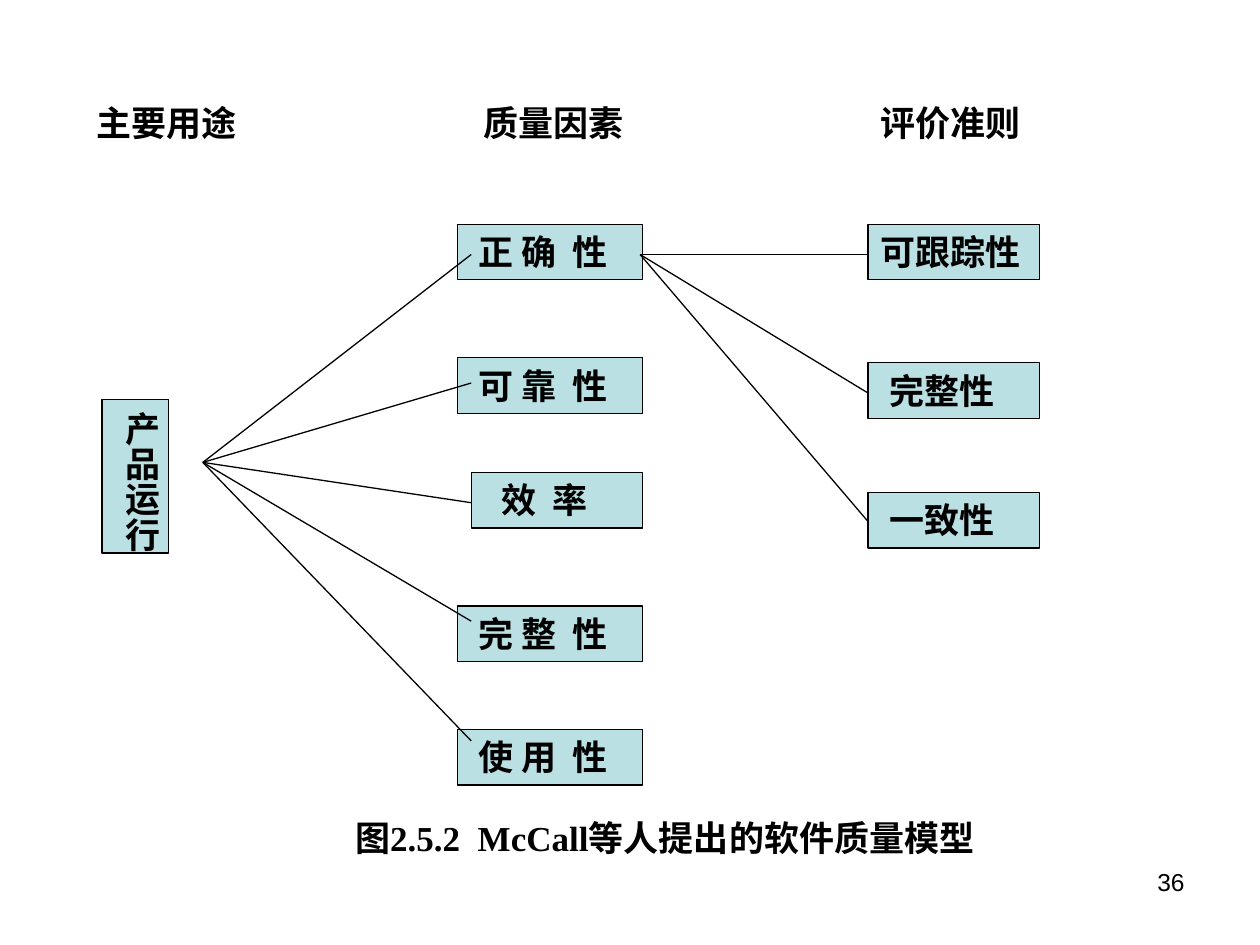
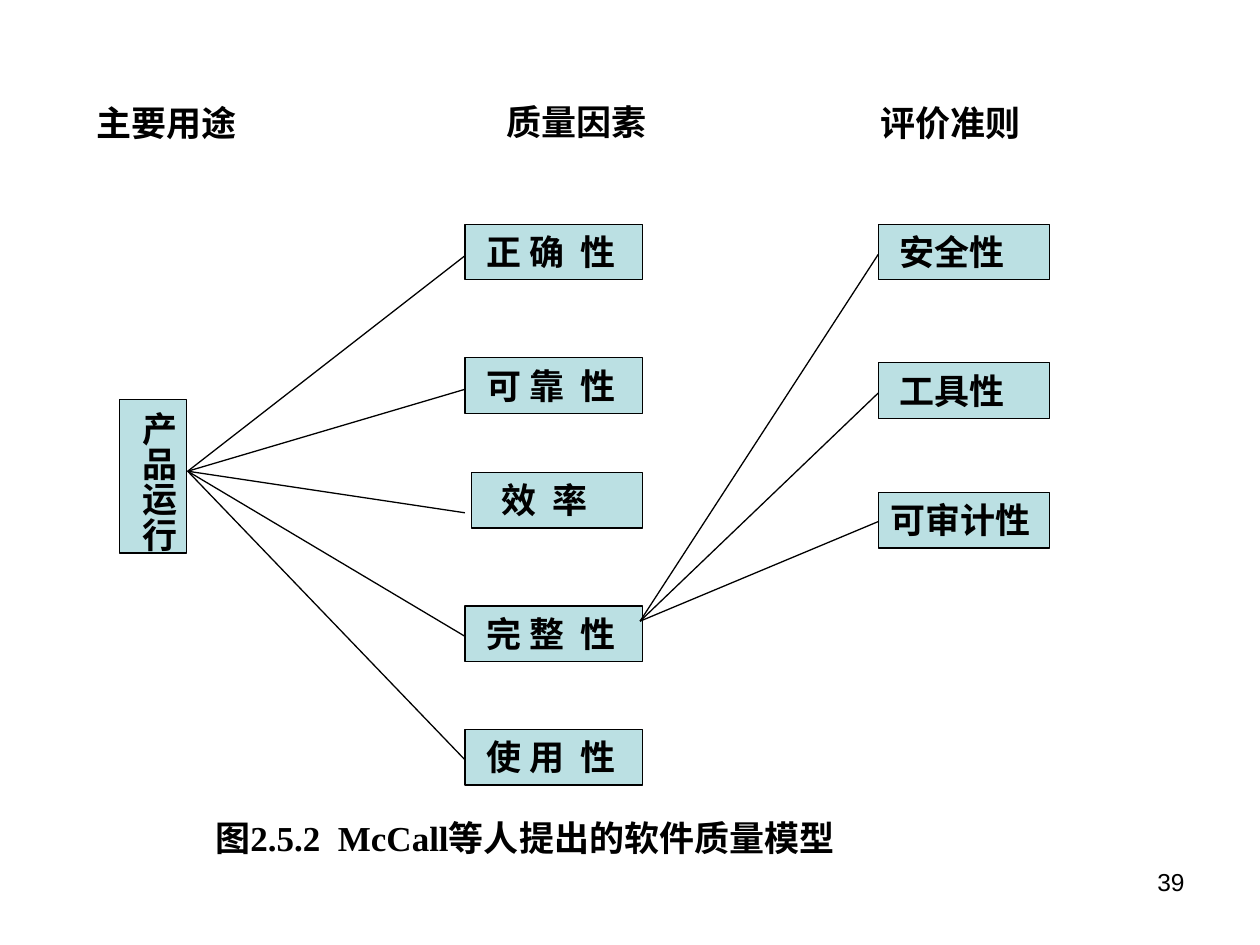
"""Build two slides of McCall's software quality model as tree diagrams."""
from lxml import etree
from pptx import Presentation
from pptx import util as u
from pptx.dml.color import RGBColor
from pptx.enum import shapes, text
from pptx.oxml import ns

PX = 9144
BLACK = RGBColor(0x00, 0x00, 0x00)
PALE_TEAL = RGBColor(0xBB, 0xE0, 0xE3)
ROW = 44
FACTOR_RIGHT = 510
SPACE = 7
FACTORS = [("正 确  性", 178), ("可 靠  性", 284), ("效  率", 375),
           ("完 整  性", 481), ("使 用  性", 579)]
CRITERION_TOPS = [178, 288, 391]
CRITERION_ENDS = [202, 312, 414]

MODELS = [
    {"number": "36", "headings": [(67, 76, 166), (374, 76, 193), (689, 76, 153)],
     "use_left": 81, "factor_left": 363, "criterion_left": 689,
     "criteria": [("可跟踪性", 0), ("完整性", SPACE), ("一致性", SPACE)],
     "use_hub": (161, 367), "factor_ends": (374, [202, 304, 399, 493, 588]),
     "criterion_hub": (508, 202), "caption": (272, 643, 520, 77)},
    {"number": "39", "headings": [(67, 76, 150), (392, 75, 131), (689, 76, 169)],
     "use_left": 95, "factor_left": 369, "criterion_left": 697,
     "criteria": [("安全性", SPACE), ("工具性", SPACE), ("可审计性", 0)],
     "use_hub": (149, 374), "factor_ends": (369, [203, 309, 407, 505, 603]),
     "criterion_hub": (508, 493), "caption": (161, 643, 530, 44)},
]


def add_label(slide, wording, area, boxed=False, indent=0):
    left, top, width, height = (n * PX for n in area)
    if boxed:
        label = slide.shapes.add_shape(shapes.MSO_SHAPE.RECTANGLE, left, top, width, height)
        label.shadow.inherit = False
        label.fill.solid()
        label.fill.fore_color.rgb = PALE_TEAL
        label.line.color.rgb = BLACK
        label.line.width = u.Pt(0.75)
    else:
        label = slide.shapes.add_textbox(left, top, width, height)
    frame = label.text_frame
    frame.word_wrap = True
    frame.vertical_anchor = text.MSO_ANCHOR.TOP
    frame.margin_left = (10 + indent) * PX
    paragraph = frame.paragraphs[0]
    paragraph.text = wording
    paragraph.alignment = text.PP_ALIGN.LEFT
    paragraph.font.name = "Times New Roman"
    paragraph.font.size = u.Pt(20)
    paragraph.font.bold = True
    paragraph.font.color.rgb = BLACK
    return frame


def add_branches(slide, hub, end_left, end_tops):
    for end_top in end_tops:
        branch = slide.shapes.add_connector(
            shapes.MSO_CONNECTOR.STRAIGHT, hub[0] * PX, hub[1] * PX, end_left * PX, end_top * PX)
        branch.line.color.rgb = BLACK
        branch.line.width = u.Pt(0.75)
        etree.SubElement(branch._element.spPr, ns.qn("a:effectLst"))


deck = Presentation()
deck.slide_width = 1000 * PX
deck.slide_height = 750 * PX

for model in MODELS:
    slide = deck.slides.add_slide(deck.slide_layouts[6])

    for heading, (left, top, width) in zip(("主要用途", "质量因素", "评价准则"), model["headings"]):
        add_label(slide, heading, (left, top, width, ROW))

    use = add_label(slide, "产品运行", (model["use_left"], 317, 53, 122), boxed=True)
    use.margin_left = use.margin_right = 5 * PX
    use.margin_top = use.margin_bottom = 10 * PX
    use.word_wrap = False
    use.auto_size = text.MSO_AUTO_SIZE.SHAPE_TO_FIT_TEXT
    use._txBody.bodyPr.set("vert", "eaVert")

    for factor, top in FACTORS:
        short = factor == "效  率"
        left = 374 if short else model["factor_left"]
        add_label(slide, factor, (left, top, FACTOR_RIGHT - left, ROW), boxed=True,
                  indent=2 * SPACE if short else SPACE)

    for (criterion, indent), top in zip(model["criteria"], CRITERION_TOPS):
        add_label(slide, criterion, (model["criterion_left"], top, 136, ROW), boxed=True, indent=indent)

    add_branches(slide, model["use_hub"], *model["factor_ends"])
    add_branches(slide, model["criterion_hub"], model["criterion_left"], CRITERION_ENDS)

    add_label(slide, "图2.5.2  McCall等人提出的软件质量模型", model["caption"])

    page = add_label(slide, model["number"], (717, 683, 233, 52)).paragraphs[0]
    page.alignment = text.PP_ALIGN.RIGHT
    page.font.name = "Arial"
    page.font.size = u.Pt(14)
    page.font.bold = False

deck.save("out.pptx")
